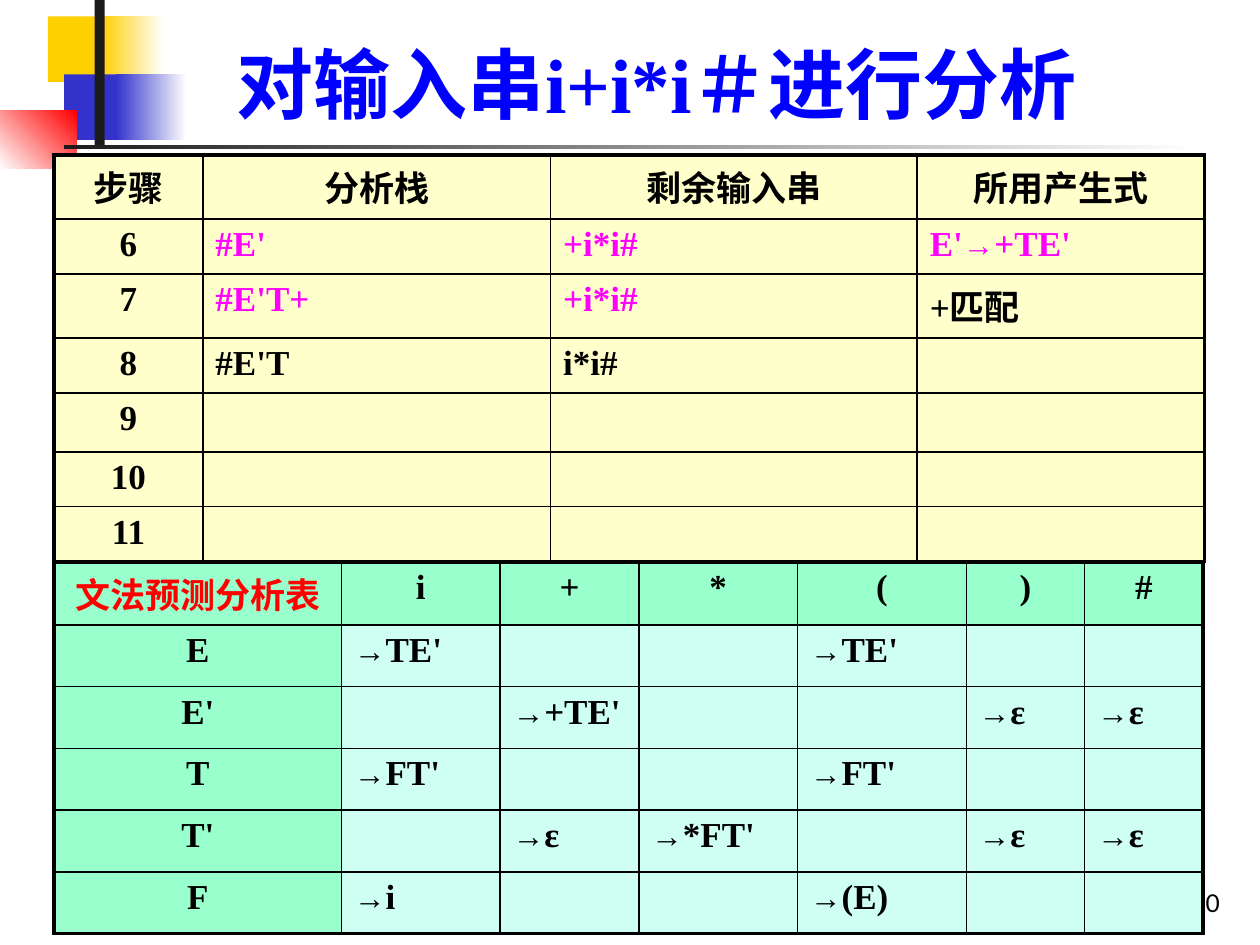
from lxml import etree
from pptx import Presentation
from pptx.dml.color import RGBColor
from pptx.enum.shapes import MSO_SHAPE
from pptx.enum.text import MSO_ANCHOR, PP_ALIGN
from pptx.oxml.ns import qn
from pptx.util import Inches, Pt

BLACK = RGBColor(0x00, 0x00, 0x00)
WHITE = RGBColor(0xFF, 0xFF, 0xFF)
CHARCOAL = RGBColor(0x1C, 0x1C, 0x1C)
GOLD = RGBColor(0xFF, 0xCF, 0x01)
INDIGO = RGBColor(0x33, 0x33, 0xCC)
RED = RGBColor(0xFF, 0x00, 0x00)
BLUE = RGBColor(0x00, 0x00, 0xFF)
MAGENTA = RGBColor(0xFF, 0x00, 0xFF)
CREAM = RGBColor(0xFF, 0xFF, 0xCC)
MINT = RGBColor(0x99, 0xFF, 0xCC)
PALE_MINT = RGBColor(0xCF, 0xFF, 0xF2)

ARROW = "→"


class SlideBuilder:
    font_name = "Times New Roman"
    table_size = 20
    arrow_size = 18
    inner_border = 1
    outer_border = 2.25

    def __init__(self, slide):
        self.slide = slide

    def style(self, paragraph, size, color, align, bold=True, name=None):
        paragraph.alignment = align
        font = paragraph.font
        font.name = name or self.font_name
        font.size = Pt(size)
        font.bold = bold
        font.color.rgb = color

    def block(self, left, top, width, height, color, end_color=None, angle=0):
        shape = self.slide.shapes.add_shape(
            MSO_SHAPE.RECTANGLE, Inches(left), Inches(top), Inches(width), Inches(height))
        shape.shadow.inherit = False
        shape.line.fill.background()
        if end_color is None:
            shape.fill.solid()
            shape.fill.fore_color.rgb = color
        else:
            shape.fill.gradient()
            shape.fill.gradient_angle = angle
            for stop, stop_color in zip(shape.fill.gradient_stops, (color, end_color)):
                stop.color.rgb = stop_color

    def text(self, left, top, width, height, content, size, color, align, **options):
        box = self.slide.shapes.add_textbox(
            Inches(left), Inches(top), Inches(width), Inches(height))
        frame = box.text_frame
        frame.word_wrap = True
        frame.vertical_anchor = MSO_ANCHOR.BOTTOM
        paragraph = frame.paragraphs[0]
        paragraph.text = content
        self.style(paragraph, size, color, align, **options)

    def cell_borders(self, cell, outer_sides):
        properties = cell._tc.get_or_add_tcPr()
        for position, side in enumerate("LRTB"):
            width = self.outer_border if side in outer_sides else self.inner_border
            line = etree.Element(qn(f"a:ln{side}"), w=str(Pt(width)))
            fill = etree.SubElement(line, qn("a:solidFill"))
            etree.SubElement(fill, qn("a:srgbClr"), val=str(BLACK))
            properties.insert(position, line)

    def cell_text(self, cell, content, color, align):
        paragraph = cell.text_frame.paragraphs[0]
        before, arrow, after = content.partition(ARROW)
        for part in filter(None, (before, arrow, after)):
            run = paragraph.add_run()
            run.text = part
            if part == ARROW:
                run.font.size = Pt(self.arrow_size)
        self.style(paragraph, self.table_size, color, align)

    def table(self, left, top, widths, heights, rows, body_fill, header_fill, colors):
        table = self.slide.shapes.add_table(
            len(rows), len(widths), Inches(left), Inches(top),
            Inches(sum(widths)), Inches(sum(heights))).table
        table.first_row = table.horz_banding = False
        for column, width in zip(table.columns, widths):
            column.width = Inches(width)
        last_row, last_column = len(rows) - 1, len(widths) - 1
        for r, (values, height) in enumerate(zip(rows, heights)):
            table.rows[r].height = Inches(height)
            for c, value in enumerate(values):
                cell = table.cell(r, c)
                is_header = r == 0 or c == 0
                cell.fill.solid()
                cell.fill.fore_color.rgb = header_fill if is_header else body_fill
                edges = {"L": c == 0, "R": c == last_column, "T": r == 0, "B": r == last_row}
                self.cell_borders(cell, [side for side, outer in edges.items() if outer])
                self.cell_text(cell, value, colors.get((r, c), BLACK),
                               PP_ALIGN.CENTER if is_header else PP_ALIGN.LEFT)


def main():
    presentation = Presentation()
    presentation.slide_width = Inches(10)
    presentation.slide_height = Inches(7.5)
    builder = SlideBuilder(presentation.slides.add_slide(presentation.slide_layouts[6]))

    # Corner decoration and title rule
    builder.block(0.38, 0.13, 0.67, 0.52, GOLD)
    builder.block(0.8, 0.13, 0.5, 0.52, GOLD, WHITE)
    builder.block(0.51, 0.59, 0.64, 0.52, INDIGO)
    builder.block(0.92, 0.59, 0.56, 0.52, INDIGO, WHITE)
    builder.block(0, 0.88, 0.61, 0.46, WHITE, RED, angle=45)
    builder.block(0.75, 0, 0.08, 1.15, CHARCOAL)
    builder.block(0.51, 1.15, 9, 0.03, CHARCOAL, WHITE)

    # Page number and title
    builder.text(7.7, 6.83, 2.08, 0.5, "50", 14, BLACK, PP_ALIGN.RIGHT,
                 bold=False, name="Lato")
    builder.text(1.26, 0.23, 7.91, 0.84, "对输入串i+i*i＃进行分析", 44, BLUE, PP_ALIGN.CENTER)

    # Predictive parsing table
    grammar_rows = [
        ["文法预测分析表", "i", "+", "*", "(", ")", "#"],
        ["E", "→TE'", "", "", "→TE'", "", ""],
        ["E'", "", "→+TE'", "", "", "→ε", "→ε"],
        ["T", "→FT'", "", "", "→FT'", "", ""],
        ["T'", "", "→ε", "→*FT'", "", "→ε", "→ε"],
        ["F", "→i", "", "", "→(E)", "", ""],
    ]
    builder.table(0.43, 4.46, [2.28, 1.26, 1.1, 1.26, 1.34, 0.94, 0.94],
                  [0.5] + [0.49] * 5, grammar_rows, PALE_MINT, MINT, {(0, 0): RED})

    # Analysis steps
    step_rows = [
        ["步骤", "分析栈", "剩余输入串", "所用产生式"],
        ["6", "#E'", "+i*i#", "E'→+TE'"],
        ["7", "#E'T+", "+i*i#", "+匹配"],
        ["8", "#E'T", "i*i#", ""],
        ["9", "", "", ""],
        ["10", "", "", ""],
        ["11", "", "", ""],
    ]
    current_cells = [(1, 1), (1, 2), (1, 3), (2, 1), (2, 2)]
    builder.table(0.43, 1.23, [1.18, 2.76, 2.91, 2.28],
                  [0.51, 0.41, 0.51, 0.41, 0.47, 0.41, 0.41], step_rows, CREAM, CREAM,
                  dict.fromkeys(current_cells, MAGENTA))

    presentation.save("out.pptx")


if __name__ == "__main__":
    main()
